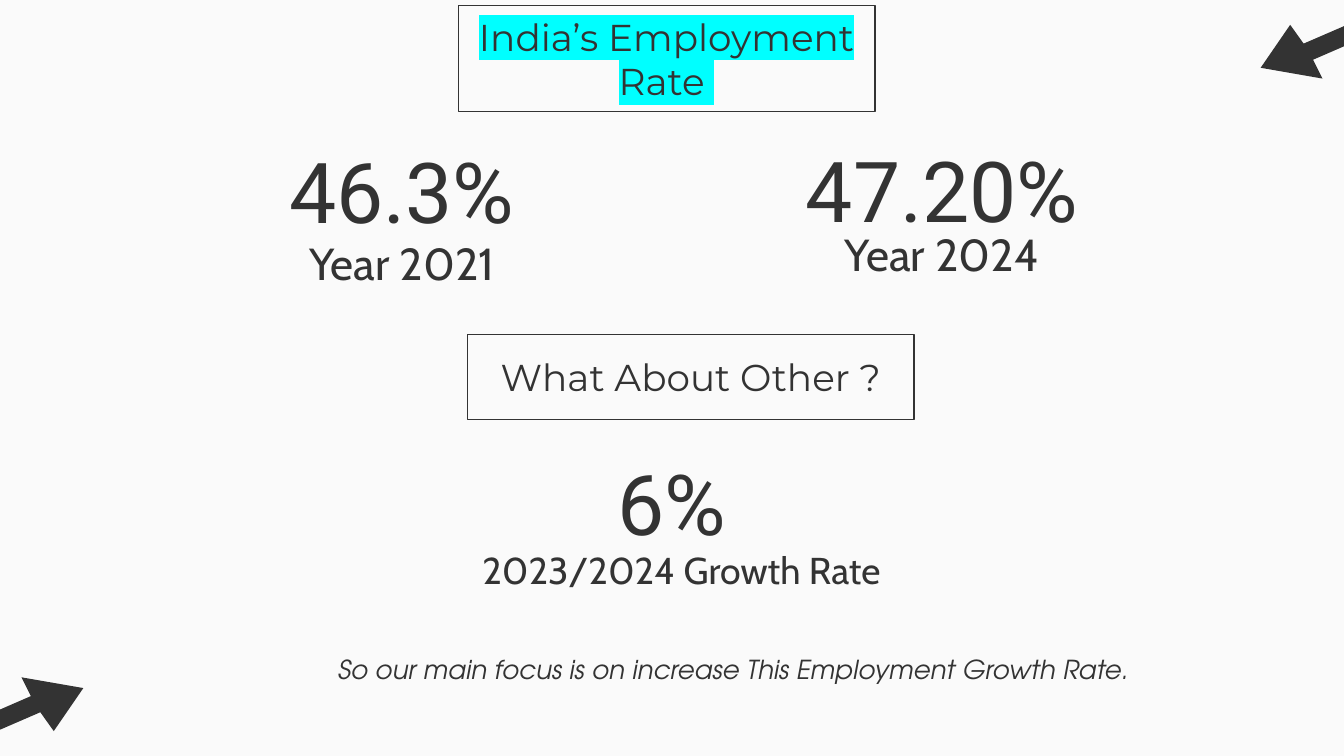
"""Build the slide on India's employment rate."""
from pptx import Presentation
from pptx.dml.color import RGBColor
from pptx.enum.shapes import MSO_SHAPE
from pptx.enum.text import MSO_ANCHOR, PP_ALIGN
from pptx.oxml.ns import qn
from pptx.util import Pt
from lxml import etree

RECT = MSO_SHAPE.RECTANGLE
MIDDLE = MSO_ANCHOR.MIDDLE
CENTER = PP_ALIGN.CENTER

PX = 4572
WIDE, HIGH = 2000, 1125
INSET = 20
PAPER, INK, MARK = "FAFAFA", "333333", "00FFFF"

STYLES = {
    "rate": {"name": "Roboto", "size": Pt(45)},
    "year": {"name": "Cabin", "size": Pt(24)},
    "growth": {"name": "Cabin", "size": Pt(20)},
    "head": {"name": "Montserrat", "size": Pt(20)},
    "close": {"name": "TeX Gyre Adventor", "size": Pt(14), "italic": True},
}
GAPS = {"rate": {"line_spacing": 0.9}}
AFTER = {"space_after": Pt(12)}

HEADS = [
    ("India’s Employment Rate ", (682, 8, 620, 158), MARK),
    ("What About Other ?", (696, 498, 664, 126), None),
]
TEXTS = [
    ("46.3%", "rate", (266, 202, 664, 180)),
    ("47.20%", "rate", (1070, 200, 664, 180)),
    ("6%", "rate", (668, 666, 664, 180)),
    ("Year 2021", "year", (266, 348, 664, 86)),
    ("Year 2024", "year", (1070, 334, 664, 86)),
    ("2023/2024 Growth Rate", "growth", (682, 804, 664, 86)),
    ("So our main focus is on increase This Employment Growth Rate.",
     "close", (406, 952, 1372, 86)),
]
ARROW = [(32, 1008), (46, 1036), (0, 1056), (0, 1086),
         (60, 1060), (80, 1088), (124, 1024)]


def color(code):
    return RGBColor.from_string(code)


def apply(target, values):
    for key, value in values.items():
        setattr(target, key, value)


def scale(box):
    return [n * PX for n in box]


def write(shape, text, style, mark=None):
    frame = shape.text_frame
    apply(frame, {"word_wrap": True, "vertical_anchor": MIDDLE})
    apply(frame, {f"margin_{side}": INSET * PX
                  for side in ("left", "top", "right", "bottom")})
    para = frame.paragraphs[0]
    apply(para, {"alignment": CENTER, **GAPS.get(style, AFTER)})
    run = para.add_run()
    run.text = text
    apply(run.font, STYLES[style])
    run.font.color.rgb = color(INK)
    if mark:
        light = etree.Element(qn("a:highlight"))
        etree.SubElement(light, qn("a:srgbClr"), val=mark)
        run.font.fill
        run._r.rPr.find(qn("a:solidFill")).addnext(light)


def draw_arrow(shapes, points):
    pen = shapes.build_freeform(*points[0], scale=PX)
    pen.add_line_segments(points[1:], close=True)
    arrow = pen.convert_to_shape()
    arrow.shadow.inherit = False
    arrow.fill.solid()
    arrow.fill.fore_color.rgb = color(INK)
    arrow.line.fill.background()


def draw_head(shapes, text, box, mark):
    head = shapes.add_shape(RECT, *scale(box))
    head.shadow.inherit = False
    head.fill.background()
    head.line.color.rgb = color(INK)
    head.line.width = Pt(0.75)
    write(head, text, "head", mark)


def main():
    deck = Presentation()
    apply(deck, {"slide_width": WIDE * PX, "slide_height": HIGH * PX})
    slide = deck.slides.add_slide(deck.slide_layouts[6])
    slide.background.fill.solid()
    slide.background.fill.fore_color.rgb = color(PAPER)
    shapes = slide.shapes
    draw_arrow(shapes, ARROW)
    draw_arrow(shapes, [(WIDE - x, HIGH - y) for x, y in ARROW])
    for text, box, mark in HEADS:
        draw_head(shapes, text, box, mark)
    for text, style, box in TEXTS:
        write(shapes.add_textbox(*scale(box)), text, style)
    deck.save("out.pptx")


if __name__ == "__main__":
    main()
